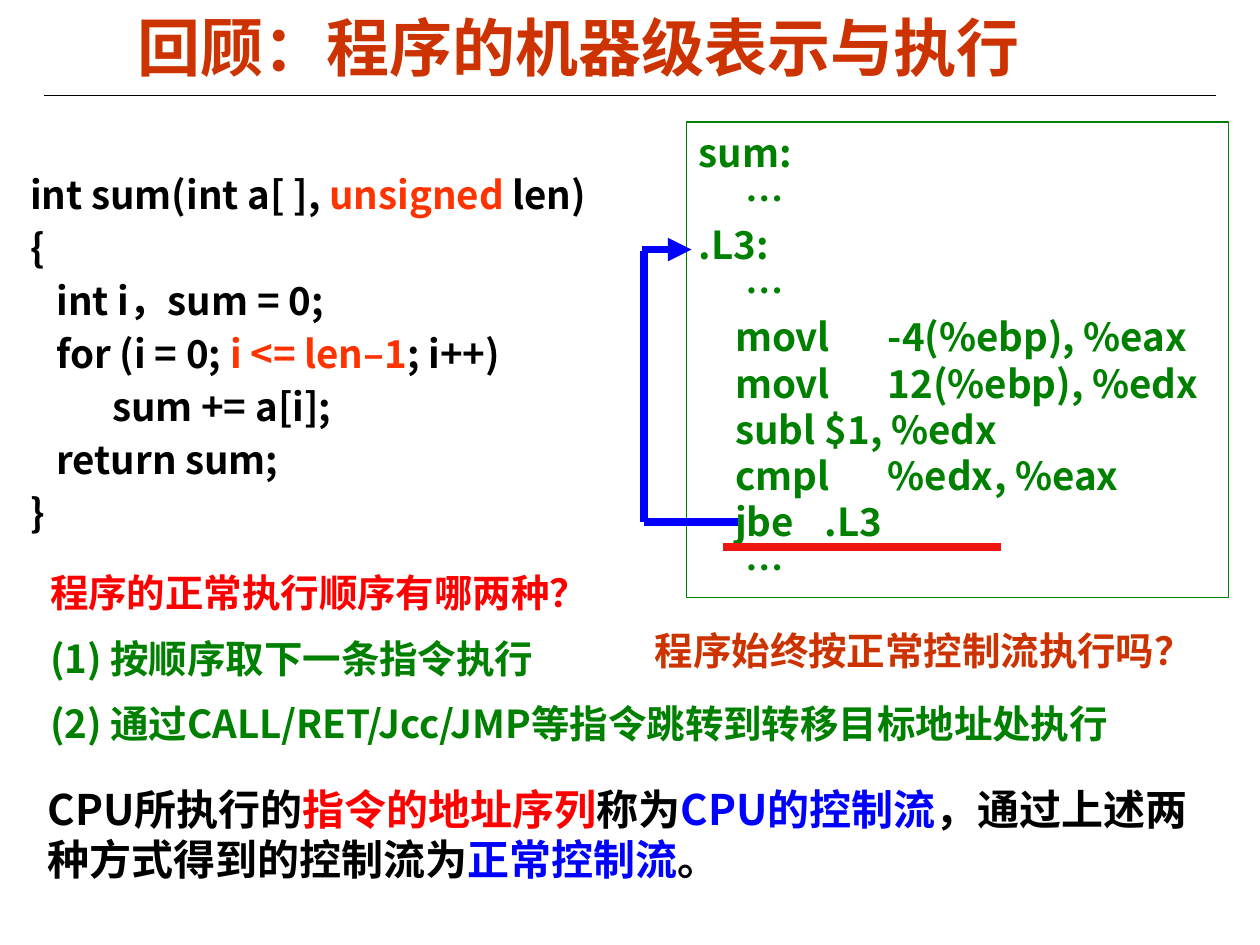
from dataclasses import dataclass

from lxml.etree import SubElement
from pptx import Presentation
from pptx.dml.color import RGBColor
from pptx.enum.shapes import MSO_CONNECTOR, MSO_SHAPE
from pptx.enum.text import MSO_ANCHOR, PP_ALIGN
from pptx.oxml.ns import qn
from pptx.util import Cm, Pt


@dataclass(frozen=True)
class Theme:
    black: str = "000000"
    red: str = "FF0000"
    orange: str = "FF3300"
    brick: str = "CC3300"
    green: str = "008000"
    blue: str = "0000FF"
    underline: str = "ED1611"
    heading_font: str = "Arial"
    body_font: str = "Noto Sans CJK SC"
    title_size: float = 36
    body_size: float = 22
    summary_size: float = 24
    thin: float = 0.75
    thick: float = 4.5


class SlideBuilder:
    def __init__(self, slide, theme):
        self.slide = slide
        self.theme = theme

    def text(self, box, paragraphs, size=None, font=None, align=PP_ALIGN.LEFT,
             anchor=MSO_ANCHOR.TOP, before=0, spacing=None, tab=None):
        """Each paragraph is (first-line indent in cm, [(text, colour), ...])."""
        area = self.slide.shapes.add_textbox(*map(Cm, box))
        self.fill_text(area, paragraphs, size, font, align, anchor, before, spacing, tab)
        return area

    def fill_text(self, area, paragraphs, size=None, font=None, align=PP_ALIGN.LEFT,
                  anchor=MSO_ANCHOR.TOP, before=0, spacing=None, tab=None):
        frame = area.text_frame
        frame.word_wrap = True
        frame.vertical_anchor = anchor
        for number, (indent, parts) in enumerate(paragraphs):
            paragraph = frame.add_paragraph() if number else frame.paragraphs[0]
            paragraph.alignment = align
            if before:
                paragraph.space_before = Pt(before)
            if spacing:
                paragraph.line_spacing = spacing
            properties = paragraph._p.get_or_add_pPr()
            properties.set("marL", "0")
            properties.set("indent", str(Cm(indent)))
            if tab:
                stops = SubElement(properties, qn("a:tabLst"))
                SubElement(stops, qn("a:tab"), pos=str(Cm(tab)), algn="l")
            for words, colour in parts:
                run = paragraph.add_run()
                run.text = words
                run.font.size = Pt(size or self.theme.body_size)
                run.font.bold = True
                run.font.name = font or self.theme.body_font
                run.font.color.rgb = RGBColor.from_string(colour)
                SubElement(run._r.get_or_add_rPr(), qn("a:ea"),
                           typeface=self.theme.body_font)

    def frame(self, box, colour, paragraphs, **style):
        outline = self.slide.shapes.add_shape(MSO_SHAPE.RECTANGLE, *map(Cm, box))
        outline.shadow.inherit = False
        outline.fill.background()
        outline.line.color.rgb = RGBColor.from_string(colour)
        outline.line.width = Pt(self.theme.thin)
        self.fill_text(outline, paragraphs, **style)

    def line(self, start, end, colour, width, arrow=False):
        stroke = self.slide.shapes.add_connector(
            MSO_CONNECTOR.STRAIGHT, *map(Cm, (*start, *end)))
        stroke.line.color.rgb = RGBColor.from_string(colour)
        stroke.line.width = Pt(width)
        if arrow:
            SubElement(stroke.line._get_or_add_ln(), qn("a:tailEnd"), type="triangle")
        SubElement(stroke._element.spPr, qn("a:effectLst"))


theme = Theme()
presentation = Presentation()
presentation.slide_width, presentation.slide_height = Cm(25.4), Cm(19.05)
builder = SlideBuilder(
    presentation.slides.add_slide(presentation.slide_layouts[6]), theme)

# Heading and rule
builder.line((0.89, 1.93), (24.51, 1.93), theme.black, theme.thin)
builder.text((0.23, 0.28, 22.86, 1.32), [(0, [("回顾：程序的机器级表示与执行", theme.brick)])],
             size=theme.title_size, font=theme.heading_font,
             align=PP_ALIGN.CENTER, anchor=MSO_ANCHOR.MIDDLE)

# C source
statement, nested = 0.53, 1.65
c_source = [
    (0, [("int sum(int a[ ], ", theme.black), ("unsigned", theme.orange),
         (" len)", theme.black)]),
    (0, [("{", theme.black)]),
    (statement, [("int i，sum = 0;", theme.black)]),
    (statement, [("for (i = 0; ", theme.black), ("i <= len–1", theme.orange),
                 ("; i++)", theme.black)]),
    (nested, [("sum += a[i];", theme.black)]),
    (statement, [("return sum;", theme.black)]),
    (0, [("}", theme.black)]),
]
source_area = builder.text((0.36, 3.18, 14.1, 6.65), c_source, spacing=1.15)
source_area.text_frame.paragraphs[0].space_before = Pt(4.4)

# Assembly listing
instruction, ellipsis = 0.73, 0.93
assembly = [
    (0, "sum:"), (ellipsis, "…"), (0, ".L3:"), (ellipsis, "…"),
    (instruction, "movl\t-4(%ebp), %eax"),
    (instruction, "movl\t12(%ebp), %edx"),
    (instruction, "subl\t$1, %edx"),
    (instruction, "cmpl\t%edx, %eax"),
    (instruction, "jbe\t.L3"),
    (ellipsis, "…"),
]
builder.frame((13.84, 2.46, 10.92, 9.58), theme.green,
              [(indent, [(code, theme.green)]) for indent, code in assembly],
              anchor=MSO_ANCHOR.MIDDLE, tab=2.97)
builder.line((14.58, 11.02), (20.17, 11.02), theme.underline, theme.thick)

# Execution order
execution_order = [
    ("程序的正常执行顺序有哪两种？", theme.red),
    ("(1) 按顺序取下一条指令执行", theme.green),
    ("(2) 通过CALL/RET/Jcc/JMP等指令跳转到转移目标地址处执行", theme.green),
]
builder.text((0.76, 11.35, 23.06, 3.99), [(0, [item]) for item in execution_order],
             before=11)

# Jump back to the loop label
builder.line((14.88, 10.52), (12.98, 10.52), theme.blue, theme.thick)
builder.line((12.98, 5.05), (12.98, 10.52), theme.blue, theme.thick)
builder.line((12.95, 5.03), (13.94, 5.03), theme.blue, theme.thick, arrow=True)

# Control flow summary and question
control_flow = [
    ("CPU所执行的", theme.black), ("指令的地址序列", theme.red), ("称为", theme.black),
    ("CPU的控制流", theme.blue), ("，通过上述两种方式得到的控制流为", theme.black),
    ("正常控制流", theme.blue), ("。", theme.black),
]
builder.text((0.71, 15.67, 23.85, 2.29), [(0, control_flow)], size=theme.summary_size)
builder.text((12.95, 12.52, 11.68, 1.19),
             [(0, [("程序始终按正常控制流执行吗？", theme.brick)])],
             font=theme.heading_font, before=11)

presentation.save("out.pptx")
